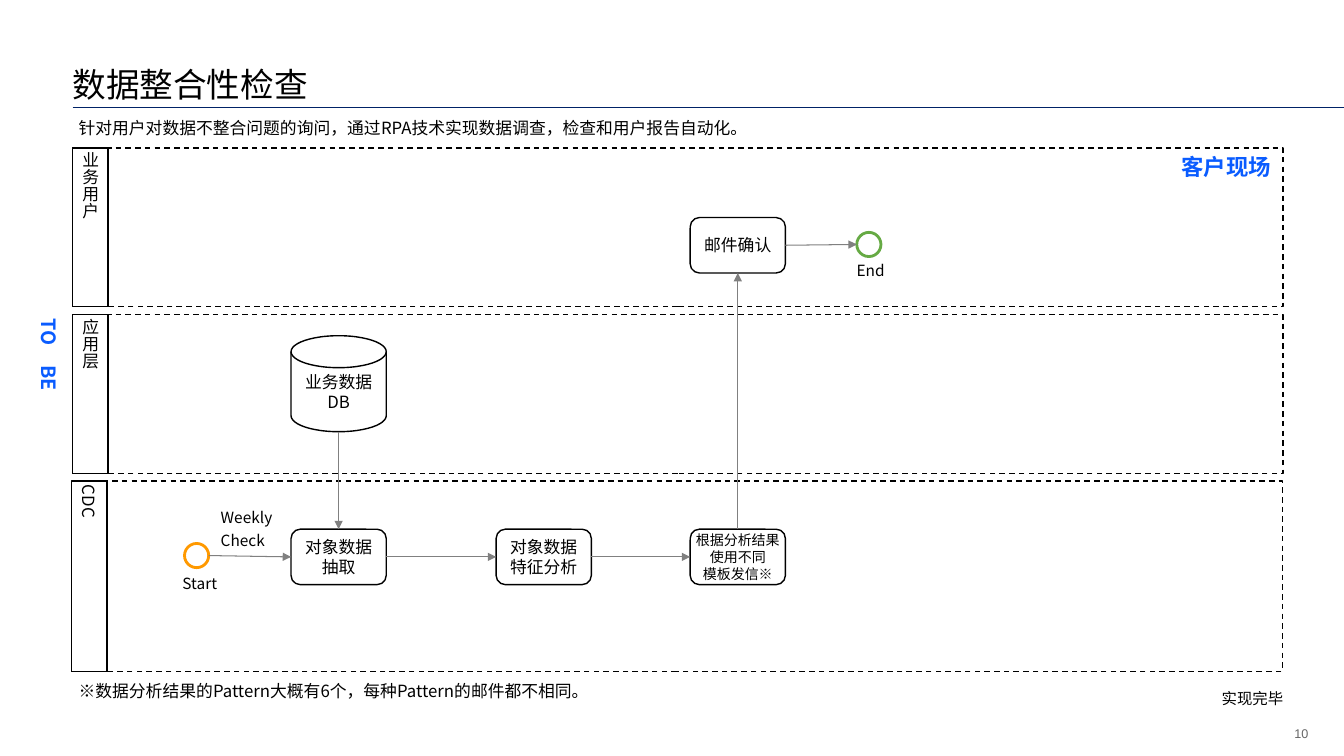
from dataclasses import dataclass

from lxml.etree import SubElement
from pptx import Presentation
from pptx.dml.color import RGBColor
from pptx.enum.dml import MSO_LINE
from pptx.enum.shapes import MSO_CONNECTOR, MSO_SHAPE
from pptx.enum.text import MSO_ANCHOR, PP_ALIGN
from pptx.oxml.ns import qn
from pptx.util import Pt


@dataclass(frozen=True)
class Theme:
    font: str = "Noto Sans CJK SC"
    db_font: str = "Noto Sans CJK JP"
    number_font: str = "Arial"
    ink: str = "000000"
    paper: str = "FFFFFF"
    rule: str = "002266"
    arrow: str = "808080"
    muted: str = "666666"
    accent: str = "0A5CFF"
    start: str = "FF9900"
    end: str = "66AA44"
    title: int = 24
    site: int = 16
    stage: int = 14
    body: int = 12
    label: int = 11
    small: int = 10
    number: int = 9


T = Theme()
LEFT = 51.84
LANE_WIDTH = 864.72
HEAD_WIDTH = 25.2
BOX_WIDTH, BOX_HEIGHT = 68, 39.6
DOT = 17.28
STEP_TOP = 378


def rgb(value):
    return RGBColor.from_string(value)


def write(sp, lines, size, color=T.ink, font=T.font, bold=False,
          align=PP_ALIGN.LEFT, indent=0, gap=0):
    tf = sp.text_frame
    for i, line in enumerate(lines):
        p = tf.add_paragraph() if i else tf.paragraphs[0]
        p.alignment = align
        if indent:
            pPr = p._p.get_or_add_pPr()
            pPr.set("marL", str(Pt(indent)))
            pPr.set("indent", "0")
        if i and gap:
            p.space_before = Pt(gap)
        r = p.add_run()
        r.text = line
        r.font.size = Pt(size)
        r.font.bold = bold
        r.font.color.rgb = rgb(color)
        r.font.name = font
        SubElement(r._r.get_or_add_rPr(), qn("a:ea")).set("typeface", font)


def set_frame(sp, insets, anchor, wrap):
    tf = sp.text_frame
    tf.margin_left, tf.margin_top, tf.margin_right, tf.margin_bottom = map(Pt, insets)
    tf.vertical_anchor = anchor
    tf.word_wrap = wrap


def add_title(s, text):
    sp = s.shapes.title
    sp.left, sp.top, sp.width, sp.height = Pt(LEFT), Pt(-5), Pt(856), Pt(79.2)
    set_frame(sp, (0, 3.6, 7.2, 0), MSO_ANCHOR.BOTTOM, True)
    write(sp, [text], T.title)


def add_label(s, x, y, w, h, lines, size=T.label, anchor=MSO_ANCHOR.TOP, **style):
    sp = s.shapes.add_textbox(Pt(x), Pt(y), Pt(w), Pt(h))
    set_frame(sp, (5.76, 3.6, 5.76, 3.6), anchor, True)
    write(sp, lines, size, indent=7.2, gap=3, **style)


def add_page_number(s, text):
    sp = s.shapes.add_textbox(Pt(881.3), Pt(517.7), Pt(53.3), Pt(12.2))
    set_frame(sp, (7.2, 3.6, 0, 3.6), MSO_ANCHOR.MIDDLE, True)
    write(sp, [text], T.number, T.muted, T.number_font, align=PP_ALIGN.RIGHT)


def add_shape(s, kind, x, y, w, h, line=T.ink, weight=1, dashed=False):
    sp = s.shapes.add_shape(kind, Pt(x), Pt(y), Pt(w), Pt(h))
    sp.shadow.inherit = False
    sp.fill.solid()
    sp.fill.fore_color.rgb = rgb(T.paper)
    if line is None:
        sp.line.fill.background()
    else:
        sp.line.color.rgb = rgb(line)
        sp.line.width = Pt(weight)
    if dashed:
        sp.line.dash_style = MSO_LINE.DASH
    return sp


def add_box(s, kind, x, y, w, h, lines, size=T.body, line=T.ink, vertical=False, **style):
    sp = add_shape(s, kind, x, y, w, h, line)
    set_frame(sp, (5.76, 2.88, 5.76, 2.88), MSO_ANCHOR.MIDDLE, False)
    if vertical:
        sp.text_frame._txBody.bodyPr.set("vert", "eaVert")
    write(sp, lines, size, align=PP_ALIGN.CENTER, **style)
    return sp


def add_lane(s, x, y, h, name):
    add_shape(s, MSO_SHAPE.RECTANGLE, x, y, LANE_WIDTH, h, dashed=True)
    add_box(s, MSO_SHAPE.RECTANGLE, x, y, HEAD_WIDTH, h, [name], vertical=True)


def add_step(s, x, y, lines, size=T.body):
    return add_box(s, MSO_SHAPE.ROUNDED_RECTANGLE, x, y, BOX_WIDTH, BOX_HEIGHT, lines, size)


def add_event(s, x, y, color):
    return add_shape(s, MSO_SHAPE.OVAL, x, y, DOT, DOT, color, 2)


def add_line(s, begin, end, color, weight, arrow=False):
    c = s.shapes.add_connector(MSO_CONNECTOR.STRAIGHT, *begin, *end)
    c.line.color.rgb = rgb(color)
    c.line.width = Pt(weight)
    if arrow:
        SubElement(c.line._get_or_add_ln(), qn("a:tailEnd")).set("type", "triangle")
    SubElement(c._element.spPr, qn("a:effectLst"))


def side(sp, name):
    dx, dy = {"left": (0, 1), "right": (2, 1), "top": (1, 0), "bottom": (1, 2)}[name]
    return sp.left + sp.width * dx // 2, sp.top + sp.height * dy // 2


def add_flow(s, source, source_side, target, target_side):
    add_line(s, side(source, source_side), side(target, target_side), T.arrow, 0.75, True)


def main():
    prs = Presentation()
    prs.slide_width, prs.slide_height = Pt(960), Pt(540)
    s = prs.slides.add_slide(prs.slide_layouts[5])

    add_line(s, (Pt(LEFT), Pt(77)), (Pt(960), Pt(77)), T.rule, 1)
    add_title(s, "数据整合性检查")
    add_page_number(s, "10")

    for x, y, h, name in (
        (LEFT, 105.6, 113.3, "业务用户"),
        (LEFT, 224.8, 113.3, "应用层"),
        (51.2, 343.5, 136, "CDC"),
    ):
        add_lane(s, x, y, h, name)
    add_box(s, MSO_SHAPE.RECTANGLE, 23, 224.8, HEAD_WIDTH, 113.3, ["TO　BE"], T.stage,
            None, True, color=T.accent, bold=True)

    start = add_event(s, 131.8, 388.2, T.start)
    extract = add_step(s, 207.9, STEP_TOP, ["对象数据", "抽取"])
    analyse = add_step(s, 354.4, STEP_TOP, ["对象数据", "特征分析"])
    send = add_step(s, 493, STEP_TOP, ["根据分析结果", "使用不同", "模板发信※"], T.small)
    confirm = add_step(s, 493, 155.4, ["邮件确认"])
    end = add_event(s, 612, 166, T.end)
    database = add_box(s, MSO_SHAPE.FLOWCHART_MAGNETIC_DISK, 207.9, 239.8, BOX_WIDTH, 68.6,
                       ["业务数据", "DB"], font=T.db_font)

    add_flow(s, start, "right", extract, "left")
    add_flow(s, database, "bottom", extract, "top")
    add_flow(s, extract, "right", analyse, "left")
    add_flow(s, analyse, "right", send, "left")
    add_flow(s, send, "top", confirm, "bottom")
    add_flow(s, confirm, "right", end, "left")

    add_label(s, 43.2, 71.3, 674, 39.6,
              ["针对用户对数据不整合问题的询问，通过RPA技术实现数据调查，检查和用户报告自动化。"],
              T.body, MSO_ANCHOR.MIDDLE)
    add_label(s, 43.2, 473.8, 674, 39.6,
              ["※数据分析结果的Pattern大概有6个，每种Pattern的邮件都不相同。"],
              T.body, MSO_ANCHOR.MIDDLE)
    add_label(s, 830.9, 105.8, 120, 23, ["客户现场"], T.site, color=T.accent, bold=True)
    add_label(s, 599, 182.9, 45.4, 29.5, ["End"])
    add_label(s, 117.4, 406.8, 45.4, 29.5, ["Start"])
    add_label(s, 144.7, 359.3, 59, 29.5, ["Weekly", "Check"])
    add_label(s, 859.7, 488.9, 89.3, 18, ["实现完毕"])

    prs.save("out.pptx")


if __name__ == "__main__":
    main()
